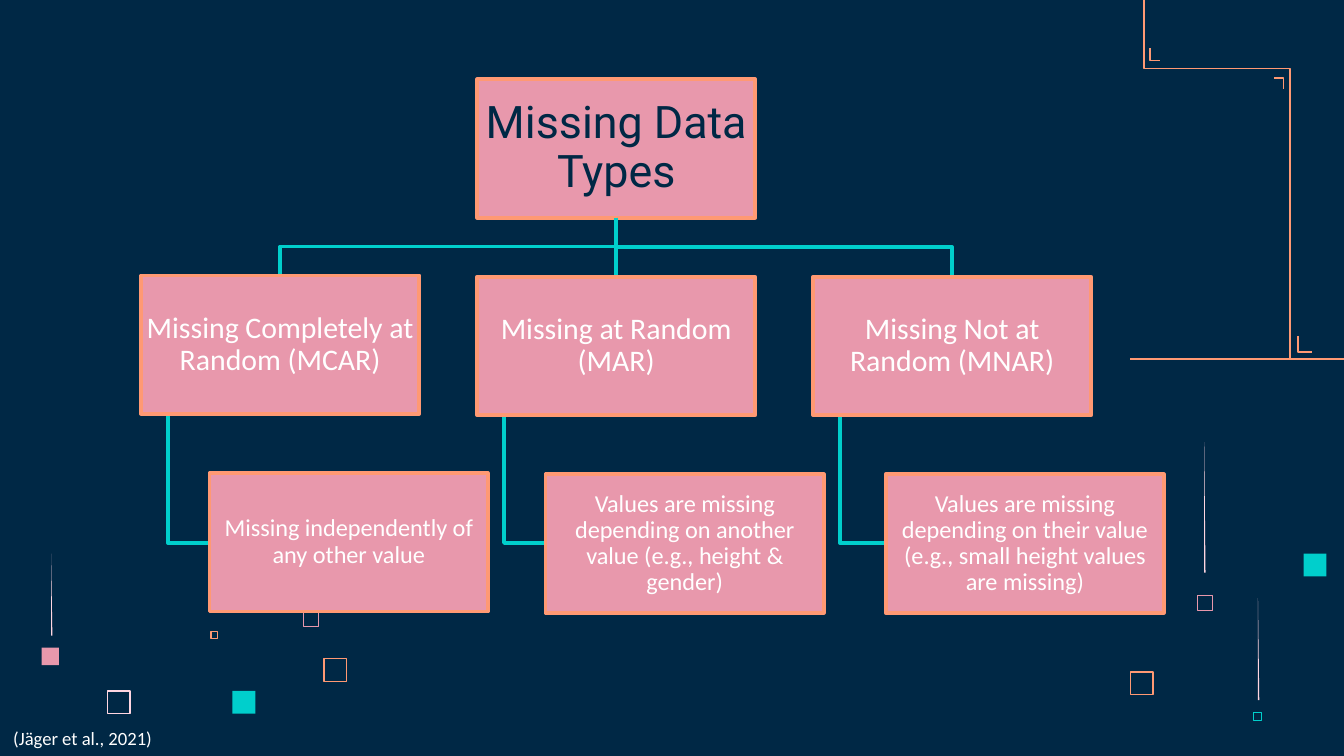
import pptx
import pptx.util
import pptx.dml.color
import pptx.enum.shapes
import pptx.enum.text
import pptx.oxml.ns
import lxml.etree

Inches = pptx.util.Inches
Pt = pptx.util.Pt
RGB = pptx.dml.color.RGBColor.from_string
RECT = pptx.enum.shapes.MSO_SHAPE.RECTANGLE
LINE = pptx.enum.shapes.MSO_CONNECTOR.STRAIGHT
MIDDLE = pptx.enum.text.MSO_ANCHOR.MIDDLE
CENTER = pptx.enum.text.PP_ALIGN.CENTER
NONE = pptx.enum.text.MSO_AUTO_SIZE.NONE


class Theme:
    navy = RGB("002845")
    pink = RGB("E898AC")
    pale = RGB("FFD6E1")
    coral = RGB("FF9973")
    teal = RGB("00CFCC")
    white = RGB("FFFFFF")
    root = {"size": Pt(24), "name": "Roboto", "bold": False}
    kind = {"size": Pt(16), "name": "Calibri"}
    note = {"size": Pt(13), "name": "Calibri"}
    cite = {"size": Pt(10), "name": "Calibri"}


def trace(points, color, width, solid=False):
    spots = [(Inches(x), Inches(y)) for x, y in points]
    pen = slide.shapes.build_freeform(*spots[0])
    pen.add_line_segments(spots[1:], close=solid)
    shape = pen.convert_to_shape()
    shape.shadow.inherit = False
    if solid:
        shape.fill.solid()
        shape.fill.fore_color.rgb = color
        shape.line.fill.background()
    else:
        shape.fill.background()
        shape.line.color.rgb = color
        shape.line.width = Pt(width)


def label(shape, text, style, color, inset):
    shape.fill.solid()
    shape.fill.fore_color.rgb = Theme.pink
    shape.line.color.rgb = Theme.coral
    shape.line.width = Pt(2)
    frame = shape.text_frame
    frame.text = text
    form = {"word_wrap": True, "auto_size": NONE, "vertical_anchor": MIDDLE}
    form |= {f"margin_{side}": Inches(inset) for side in ("left", "top", "right", "bottom")}
    for key, value in form.items():
        setattr(frame, key, value)
    line = frame.paragraphs[0]
    line.alignment = CENTER
    line.line_spacing = 0.9
    for key, value in style.items():
        setattr(line.font, key, value)
    line.font.color.rgb = color


deck = pptx.Presentation()
deck.slide_width = Inches(10)
deck.slide_height = deck.slide_width * 9 // 16
slide = deck.slides.add_slide(deck.slide_layouts[5])
slide.background.fill.solid()
slide.background.fill.fore_color.rgb = Theme.navy

squares = [
    (0.8, 5.14, 0.17, Theme.pale, 1),
    (2.26, 4.55, 0.11, Theme.pink, 0.75),
    (1.57, 4.7, 0.05, Theme.coral, 0.75),
    (2.41, 4.9, 0.17, Theme.coral, 0.75),
    (8.41, 5, 0.17, Theme.coral, 0.75),
    (8.91, 4.43, 0.11, Theme.pink, 0.5),
    (9.33, 5.3, 0.06, Theme.teal, 0.5),
    (1.73, 5.14, 0.17, Theme.teal, 0),
    (9.7, 4.12, 0.17, Theme.teal, 0),
    (0.31, 4.82, 0.13, Theme.pink, 0),
]
for x, y, size, color, width in squares:
    square = slide.shapes.add_shape(RECT, Inches(x), Inches(y), Inches(size), Inches(size))
    square.shadow.inherit = False
    if width:
        square.fill.background()
        square.line.color.rgb = color
        square.line.width = Pt(width)
    else:
        square.fill.solid()
        square.fill.fore_color.rgb = color
        square.line.fill.background()

for x, top, base in [(8.96, 3.29, 4.26), (0.38, 4.12, 4.73), (9.36, 4.45, 5.21)]:
    trace([(x, top), (x, base), (x + 0.01, base)], Theme.pale, 0, solid=True)

circuit = [
    [(8.51, 0), (8.51, 0.51), (9.6, 0.51), (9.6, 2.67)],
    [(9.66, 2.5), (9.66, 2.62), (9.76, 2.62)],
    [(9.48, 0.58), (9.55, 0.58), (9.55, 0.66)],
    [(8.56, 0.36), (8.56, 0.45), (8.63, 0.45)],
]
for points in circuit:
    trace(points, Theme.coral, 1)

rail = slide.shapes.add_connector(LINE, Inches(8.41), Inches(2.67), Inches(10), Inches(2.67))
stem = slide.shapes.add_connector(LINE, Inches(4.58), Inches(1.62), Inches(4.58), Inches(2.06))
for line, color, width in [(rail, Theme.coral, 1), (stem, Theme.teal, 2)]:
    line.line.color.rgb = color
    line.line.width = Pt(width)
    lxml.etree.SubElement(line._element.spPr, pptx.oxml.ns.qn("a:effectLst"))

wide, high = 2.07, 1.03
root_x, root_y = 3.55, 0.59
kinds = [
    (2.05, "Missing Completely at Random (MCAR)",
     1.56, 3.52, "Missing independently of any other value"),
    (2.06, "Missing at Random (MAR)",
     4.06, 3.53, "Values are missing depending on another value (e.g., height & gender)"),
    (2.06, "Missing Not at Random (MNAR)",
     6.59, 3.53, "Values are missing depending on their value (e.g., small height values are missing)"),
]

title = slide.shapes.title
title.left, title.top = Inches(root_x), Inches(root_y)
title.width, title.height = Inches(wide), Inches(high)
label(title, "Missing Data Types", Theme.root, Theme.navy, 0.02)
slide.shapes._spTree.append(title._element)
stem.begin_connect(title, 2)

for i, (top, kind, note_x, note_y, note) in enumerate(kinds):
    left = root_x + 2.5 * (i - 1)
    mid, start, base = left + wide / 2, root_x + wide / 2, root_y + high
    bus = (base + top) / 2
    if i != 1:
        trace([(start, base), (start, bus), (mid, bus), (mid, top)], Theme.teal, 2)
    drop = left + 0.2
    trace([(drop, top + high), (drop, 4.04), (note_x, 4.04)], Theme.teal, 2)
    for x, y, text, style in [(left, top, kind, Theme.kind), (note_x, note_y, note, Theme.note)]:
        box = slide.shapes.add_shape(RECT, Inches(x), Inches(y), Inches(wide), Inches(high))
        box.shadow.inherit = False
        label(box, text, style, Theme.white, 0.01)
        if i == 1 and text == kind:
            stem.end_connect(box, 0)

cite = slide.shapes.add_textbox(Inches(0), Inches(5.36), Inches(1.41), Inches(0.27))
cite.text_frame.word_wrap = True
cite.text_frame.text = "(Jäger et al., 2021)"
font = cite.text_frame.paragraphs[0].font
for key, value in Theme.cite.items():
    setattr(font, key, value)
font.color.rgb = Theme.white

deck.save("out.pptx")
